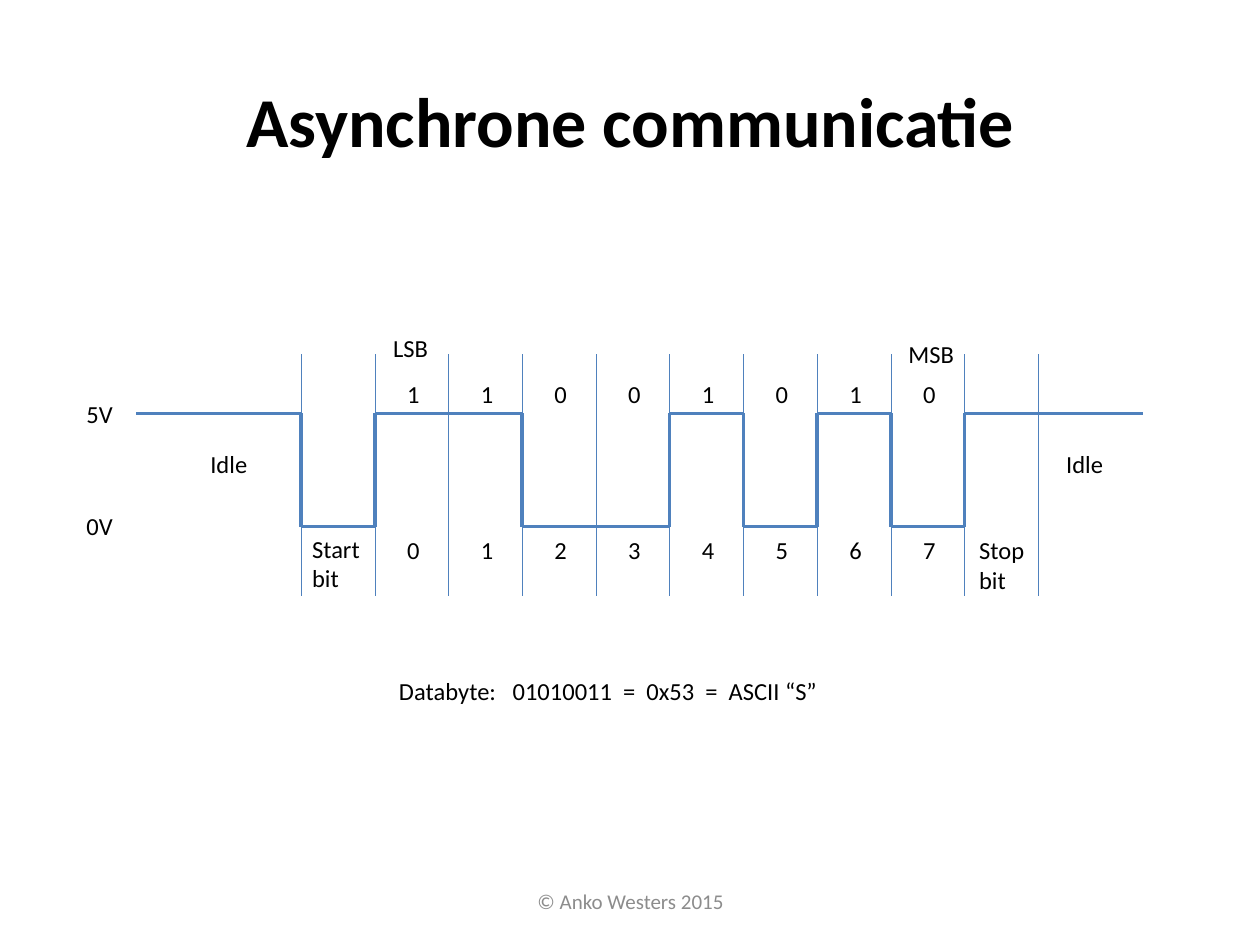
import itertools
import pptx
import pptx.util
import pptx.dml.color
import pptx.enum.dml
import pptx.enum.shapes
import pptx.enum.text
import pptx.oxml.ns
import lxml.etree

RGB = pptx.dml.color.RGBColor.from_string
ALIGN = pptx.enum.text.PP_ALIGN
ANCHOR = pptx.enum.text.MSO_ANCHOR
DASH = pptx.enum.dml.MSO_LINE

THEME = {
    "title": {"name": "Calibri", "size": pptx.util.Pt(40), "bold": True, "color": "000000"},
    "label": {"name": "Calibri", "size": pptx.util.Pt(14), "color": "000000"},
    "foot": {"name": "Calibri", "size": pptx.util.Pt(12), "color": "8C8C8C"},
    "wave": {"width": pptx.util.Pt(2), "color": "4F81BD"},
    "guide": {"width": pptx.util.Pt(0.25), "dash_style": DASH.ROUND_DOT, "color": "4F81BD"},
}

deck = pptx.Presentation()
deck.slide_width = pptx.util.Inches(10)
deck.slide_height = pptx.util.Inches(7.5)
slide = deck.slides.add_slide(deck.slide_layouts[6])

# One column is one bit time, from the start bit on; row 0 is 5V, row 1 is 0V.
COL, ROW = pptx.util.Inches(0.585), pptx.util.Inches(0.9)
LEFT, TOP = pptx.util.Inches(2.39), pptx.util.Inches(3.28)


def add_text(words, col, row, wide, high=0.38, style="label", wrap=False, mid=False):
    """Place text with its box given in columns and rows."""
    box = slide.shapes.add_textbox(
        round(LEFT + col * COL), round(TOP + row * ROW), round(wide * COL), round(high * ROW))
    frame = box.text_frame
    frame.text = words
    frame.word_wrap = wrap
    if mid:
        frame.vertical_anchor = ANCHOR.MIDDLE
    for para in frame.paragraphs:
        if mid:
            para.alignment = ALIGN.CENTER
        for run in para.runs:
            for key, value in THEME[style].items():
                if key == "color":
                    run.font.color.rgb = RGB(value)
                else:
                    setattr(run.font, key, value)


def add_line(col, row, end_col, end_row, style):
    """Join two grid points."""
    line = slide.shapes.add_connector(
        pptx.enum.shapes.MSO_CONNECTOR.STRAIGHT,
        round(LEFT + col * COL), round(TOP + row * ROW),
        round(LEFT + end_col * COL), round(TOP + end_row * ROW))
    for key, value in THEME[style].items():
        if key == "color":
            line.line.color.rgb = RGB(value)
        else:
            setattr(line.line, key, value)
    lxml.etree.SubElement(line._element.spPr, pptx.oxml.ns.qn("a:effectLst"))


add_text("Asynchrone communicatie", -2.8, -3.17, 14.53, 1.16, "title", True, True)

# Dotted guides at each bit edge
for edge in range(11):
    add_line(edge, -0.52, edge, 1.61, "guide")

# Signal: idle, start bit, data from LSB to MSB, then stop bit and idle
data = "11001010"
start, end = -2.24, 11.42
edge = 0
col = start
signal = "1" + "0" + data + "1"
for level, group in itertools.groupby(signal):
    row = 1 - int(level)
    if col != start:
        add_line(col, 0, col, 1, "wave")
    edge += len(list(group))
    stop = end if edge == len(signal) else edge - 1
    add_line(col, row, stop, row, "wave")
    col = stop

# Bit values above the signal, bit numbers below
for index, bit in enumerate(data):
    add_text(bit, index + 1.27, -0.36, 0.51)
    add_text(str(index), index + 1.27, 1.02, 0.51)

for words, col, row, wide, high in (
    ("Start\nbit", -0.02, 1.01, 1.01, 0.63),
    ("Stop\nbit", 9.03, 1.02, 0.97, 0.63),
    ("5V", -3.08, -0.18, 0.7, 0.38),
    ("0V", -3.08, 0.81, 0.7, 0.38),
    ("LSB", 1.08, -0.76, 0.82, 0.38),
    ("MSB", 8.07, -0.71, 0.97, 0.38),
    ("Idle", -1.4, 0.26, 0.85, 0.38),
    ("Idle", 10.21, 0.26, 0.85, 0.38),
):
    add_text(words, col, row, wide, high)

add_text("Databyte:   01010011  =  0x53  =  ASCII “S”", 1.16, 2.26, 7.66, wrap=True)
add_text("© Anko Westers 2015", 1.76, 4.08, 5.42, 0.44, "foot", True, True)

deck.save("out.pptx")
